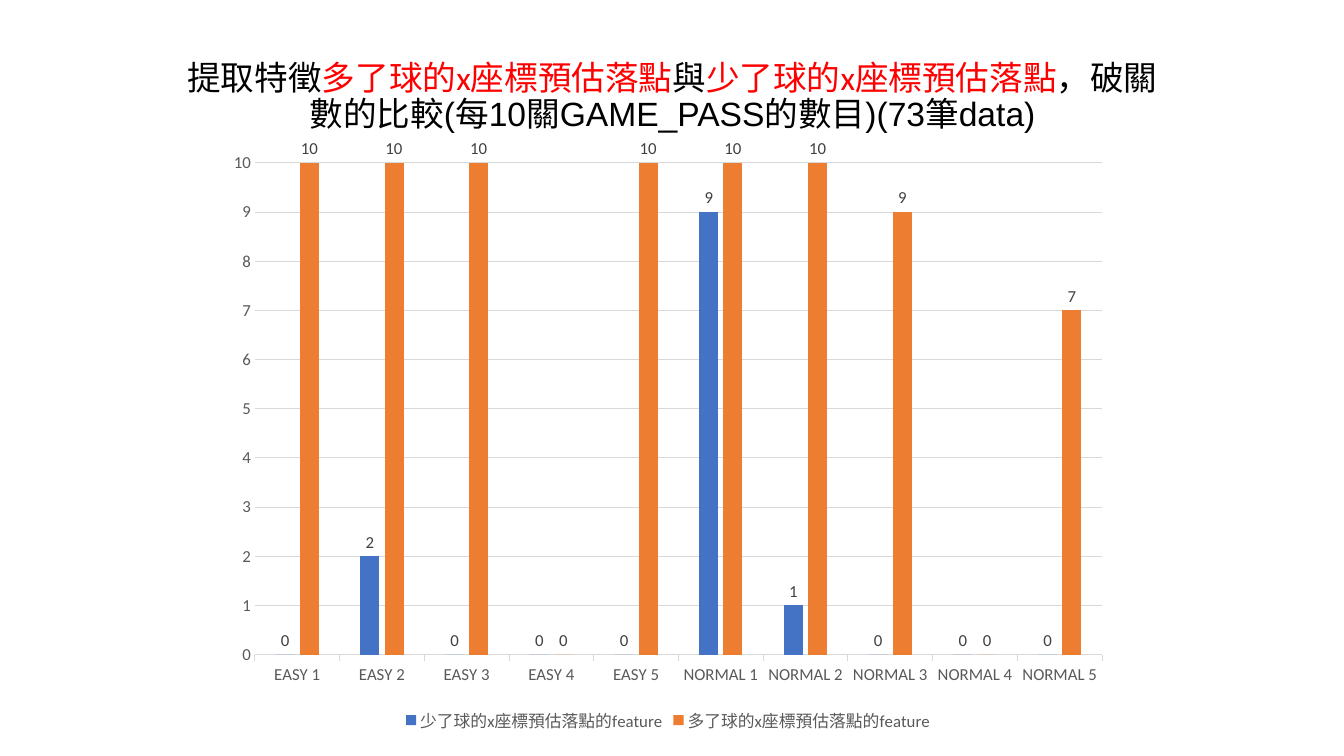
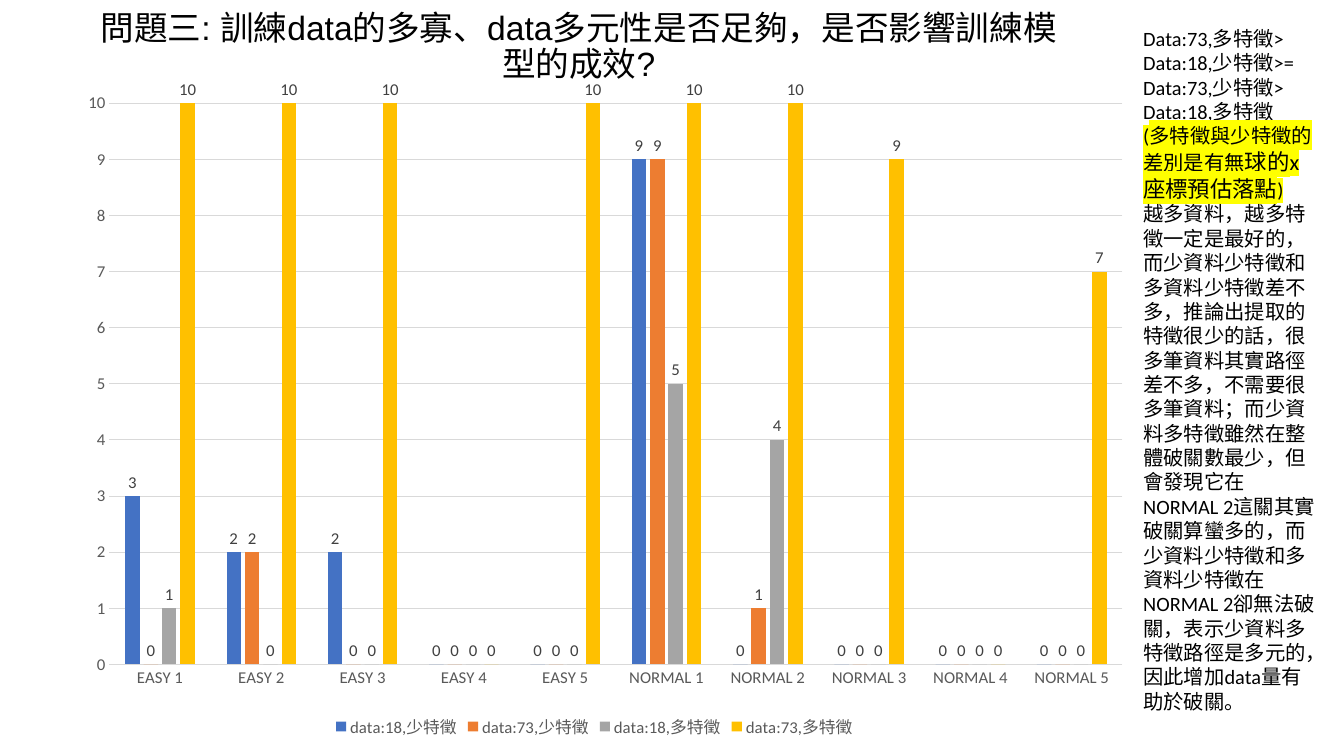
from lxml import etree
from pptx import Presentation
from pptx.chart.data import CategoryChartData
from pptx.dml.color import RGBColor
from pptx.enum.chart import XL_CHART_TYPE as ChartType
from pptx.enum.chart import XL_LABEL_POSITION as LabelPosition
from pptx.enum.chart import XL_LEGEND_POSITION as LegendPosition
from pptx.enum.chart import XL_TICK_MARK as TickMark
from pptx.enum.text import MSO_ANCHOR as Anchor
from pptx.enum.text import MSO_AUTO_SIZE as AutoSize
from pptx.enum.text import PP_ALIGN as Align
from pptx.oxml.ns import qn
from pptx.util import Inches, Pt

BLACK, RED, YELLOW = "000000", "FF0000", "FFFF00"
AXIS_GRAY, LABEL_GRAY, GRID_GRAY = "595959", "404040", "D9D9D9"
SERIES_COLORS = ["4472C4", "ED7D31", "A5A5A5", "FFC000"]
TITLE_FONT, BODY_FONT = "Arial", "Calibri"
TITLE_SIZE, CHART_SIZE, NOTE_SIZE = 24, 12, 14.5
LEVELS = [f"{mode} {number}" for mode in ("EASY", "NORMAL") for number in range(1, 6)]
FEW_FEATURES_73 = [0, 2, 0, 0, 0, 9, 1, 0, 0, 0]
MANY_FEATURES_73 = [10, 10, 10, 0, 10, 10, 10, 9, 0, 7]

FEATURE_SERIES = {
    "少了球的x座標預估落點的feature": FEW_FEATURES_73,
    "多了球的x座標預估落點的feature": MANY_FEATURES_73,
}
DATA_SERIES = {
    "data:18,少特徵": [3, 2, 2, 0, 0, 9, 0, 0, 0, 0],
    "data:73,少特徵": FEW_FEATURES_73,
    "data:18,多特徵": [1, 0, 0, 0, 0, 5, 4, 0, 0, 0],
    "data:73,多特徵": MANY_FEATURES_73,
}
RANKING = ["Data:73,多特徵>", "Data:18,少特徵>=", "Data:73,少特徵>", "Data:18,多特徵"]
CONCLUSION = (
    "越多資料，越多特徵一定是最好的，而少資料少特徵和多資料少特徵差不多，"
    "推論出提取的特徵很少的話，很多筆資料其實路徑差不多，不需要很多筆資料；"
    "而少資料多特徵雖然在整體破關數最少，但會發現它在NORMAL 2這關其實破關算蠻多的，"
    "而少資料少特徵和多資料少特徵在NORMAL 2卻無法破關，"
    "表示少資料多特徵路徑是多元的，因此增加data量有助於破關。"
)


def rgb(color):
    """Turn a hex string into a colour."""
    return RGBColor.from_string(color)


def style_font(font, size, color, name=BODY_FONT):
    """Set the size, colour and typeface of a font."""
    font.size = Pt(size)
    font.color.rgb = rgb(color)
    font.name = name


def add_run(paragraph, text, size, color=BLACK, name=BODY_FONT, highlight=None):
    """Add one styled run, highlighted if a colour is given."""
    run = paragraph.add_run()
    run.text = text
    style_font(run.font, size, color, name)
    if highlight:
        mark = etree.Element(qn("a:highlight"))
        etree.SubElement(mark, qn("a:srgbClr"), val=highlight)
        run.font._element.find(qn("a:latin")).addprevious(mark)


def add_text_frame(slide, left, top, width, height):
    """Add a wrapping text box and return its frame."""
    box = slide.shapes.add_textbox(Inches(left), Inches(top), Inches(width), Inches(height))
    box.text_frame.word_wrap = True
    return box.text_frame


def add_title(slide, left, top, height, runs):
    """Add a centred title from (text, colour, font) runs."""
    frame = add_text_frame(slide, left, top, 10, height)
    frame.auto_size = AutoSize.NONE
    frame.vertical_anchor = Anchor.BOTTOM
    paragraph = frame.paragraphs[0]
    paragraph.alignment = Align.CENTER
    paragraph.line_spacing = 0.9
    for text, color, name in runs:
        add_run(paragraph, text, TITLE_SIZE, color, name)


def style_axes(chart, category_tick):
    """Format the level axis and the 0 to 10 value axis."""
    levels, values = chart.category_axis, chart.value_axis
    for axis in (levels, values):
        style_font(axis.tick_labels.font, CHART_SIZE, AXIS_GRAY)
        axis.major_tick_mark = axis.minor_tick_mark = TickMark.NONE
    levels.major_tick_mark = category_tick
    values.minimum_scale, values.maximum_scale, values.major_unit = 0, 10, 1
    values.has_major_gridlines = True
    values.format.line.fill.background()
    for line in (levels.format.line, values.major_gridlines.format.line):
        line.color.rgb = rgb(GRID_GRAY)
        line.width = Pt(0.75)


def style_series(series, color):
    """Colour one series and show its values above the columns."""
    series.format.fill.solid()
    series.format.fill.fore_color.rgb = rgb(color)
    labels = series.data_labels
    labels.show_value = True
    labels.position = LabelPosition.OUTSIDE_END
    style_font(labels.font, CHART_SIZE, LABEL_GRAY)


def set_plot_layout(chart, bounds):
    """Fix the inner plot area at fractions of the chart."""
    plot_area = chart.element.find(".//" + qn("c:plotArea"))
    for old_layout in plot_area.findall(qn("c:layout")):
        plot_area.remove(old_layout)
    layout = etree.Element(qn("c:layout"))
    plot_area.insert(0, layout)
    manual = etree.SubElement(layout, qn("c:manualLayout"))
    settings = [("layoutTarget", "inner"), ("xMode", "edge"), ("yMode", "edge")]
    for tag, value in settings + list(zip("xywh", bounds)):
        etree.SubElement(manual, qn("c:" + tag), val=str(value))


def add_level_chart(slide, left, top, width, height, series_values, category_tick=TickMark.NONE):
    """Add a clustered column chart of passes per level."""
    data = CategoryChartData(number_format="General")
    data.categories = LEVELS
    for name, values in series_values.items():
        data.add_series(name, values)
    frame = slide.shapes.add_chart(
        ChartType.COLUMN_CLUSTERED, Inches(left), Inches(top), Inches(width), Inches(height), data
    )
    chart = frame.chart
    chart.has_title = False
    style_font(chart.font, 10, BLACK)
    style_axes(chart, category_tick)
    plot = chart.plots[0]
    plot.gap_width, plot.overlap = 219, -27
    plot.vary_by_categories = False
    for series, color in zip(plot.series, SERIES_COLORS):
        style_series(series, color)
    chart.has_legend = True
    chart.legend.position = LegendPosition.BOTTOM
    chart.legend.include_in_layout = False
    style_font(chart.legend.font, CHART_SIZE, AXIS_GRAY)
    return chart


def add_findings(slide):
    """Add the ranking, the highlighted remark and the conclusion."""
    frame = add_text_frame(slide, 11.24, 0.21, 1.92, 6.93)
    frame.auto_size = AutoSize.SHAPE_TO_FIT_TEXT
    remark = [("(多特徵與少特徵的差別是有無", NOTE_SIZE), ("球的x座標預估落點", 16), (")", NOTE_SIZE)]
    paragraph = frame.paragraphs[0]
    for text in RANKING:
        add_run(paragraph, text, NOTE_SIZE)
        paragraph = frame.add_paragraph()
    for text, size in remark:
        add_run(paragraph, text, size, highlight=YELLOW)
    add_run(frame.add_paragraph(), CONCLUSION, NOTE_SIZE)


def add_feature_slide(slide):
    """Compare passes with and without the landing feature."""
    add_title(slide, 1.67, 0.47, 0.91, [
        ("提取特徵", BLACK, TITLE_FONT),
        ("多了", RED, TITLE_FONT),
        ("球的x座標預估落點", RED, BODY_FONT),
        ("與", BLACK, TITLE_FONT),
        ("少了", RED, TITLE_FONT),
        ("球的x座標預估落點", RED, BODY_FONT),
        ("，破關數的比較(每10關GAME_PASS的數目)(73筆data)", BLACK, TITLE_FONT),
    ])
    add_level_chart(slide, 2.14, 1.38, 8.97, 5.93, FEATURE_SERIES, TickMark.OUTSIDE)


def add_data_slide(slide):
    """Compare passes by amount of data and of features."""
    question = "問題三: 訓練data的多寡、data多元性是否足夠，是否影響訓練模型的成效?"
    add_title(slide, 0.74, -0.17, 1.05, [(question, BLACK, TITLE_FONT)])
    chart = add_level_chart(slide, 0.55, 0.79, 10.69, 6.58, DATA_SERIES)
    set_plot_layout(chart, (0.05, 0.02, 0.94, 0.86))
    add_findings(slide)


def main():
    """Build and save the presentation."""
    presentation = Presentation()
    presentation.slide_width, presentation.slide_height = Inches(13.33), Inches(7.5)
    for fill_slide in (add_feature_slide, add_data_slide):
        fill_slide(presentation.slides.add_slide(presentation.slide_layouts[6]))
    presentation.save("out.pptx")


if __name__ == "__main__":
    main()
